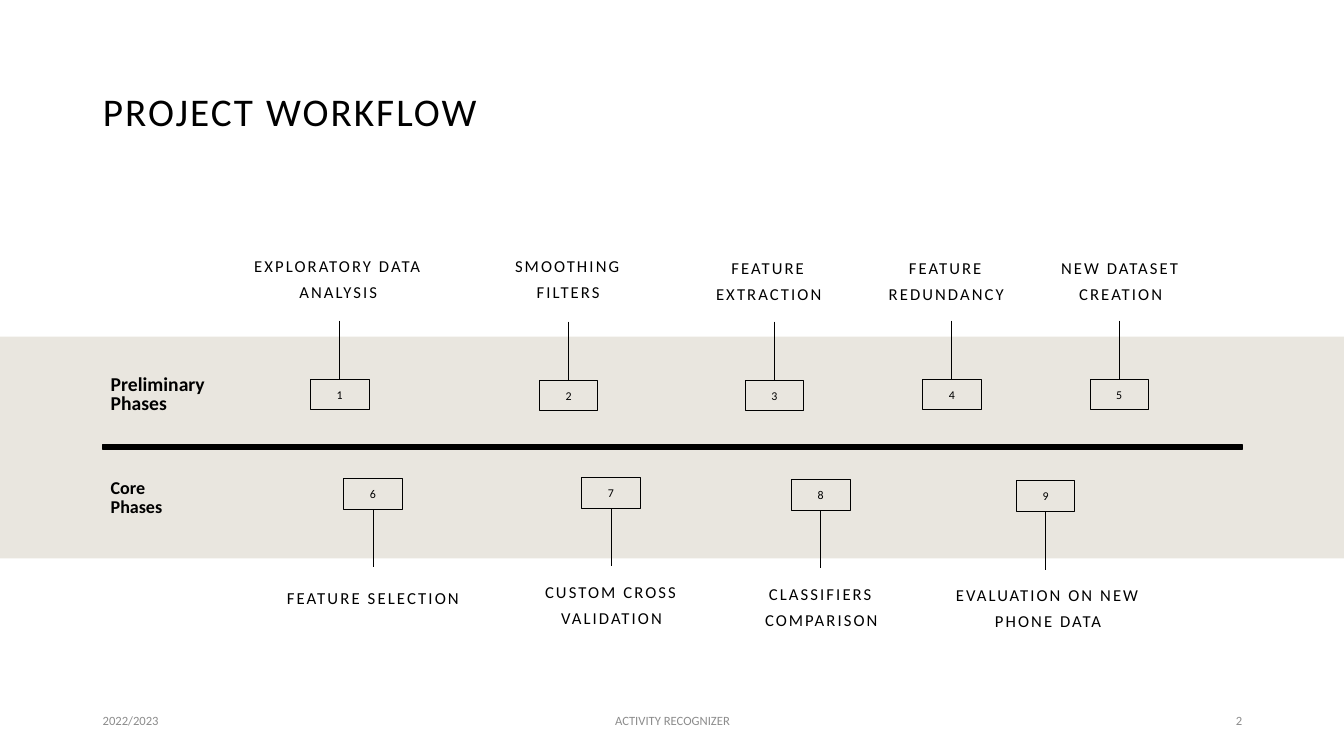
from lxml import etree
from pptx import Presentation
from pptx.dml.color import RGBColor
from pptx.enum.shapes import MSO_CONNECTOR, MSO_SHAPE
from pptx.enum.text import MSO_ANCHOR, MSO_AUTO_SIZE, PP_ALIGN
from pptx.oxml.ns import qn
from pptx.util import Pt

RECTANGLE = MSO_SHAPE.RECTANGLE
STRAIGHT = MSO_CONNECTOR.STRAIGHT
LEFT, CENTER, RIGHT = PP_ALIGN.LEFT, PP_ALIGN.CENTER, PP_ALIGN.RIGHT
TOP, MIDDLE, BOTTOM = MSO_ANCHOR.TOP, MSO_ANCHOR.MIDDLE, MSO_ANCHOR.BOTTOM
NO_AUTOFIT = MSO_AUTO_SIZE.NONE

EMU_PER_PX = 9144  # 100 px to the inch
SLIDE_WIDTH, SLIDE_HEIGHT = 1333, 750
TITLE_ONLY = 5
BOX_WIDTH, BOX_HEIGHT = 58, 30
NUMBER_WIDTH, NUMBER_HEIGHT = 70, 22
STEM_LENGTH = 58
LABEL_HEIGHT = 61

# Box left, box top, label, label left, label top, label width
PRELIMINARY_STEPS = [
    (308, 376, "EXPLORATORY DATA ANALYSIS", 223, 243, 225),
    (535, 377, "SMOOTHING FILTERS", 477, 243, 173),
    (739, 377, "FEATURE EXTRACTION", 671, 245, 183),
    (915, 376, "FEATURE REDUNDANCY", 840, 245, 197),
    (1081, 376, "NEW DATASET CREATION", 1013, 245, 197),
]
CORE_STEPS = [
    (341, 475, "FEATURE SELECTION", 233, 568, 274),
    (577, 474, "CUSTOM CROSS VALIDATION", 494, 566, 225),
    (785, 476, "CLASSIFIERS COMPARISON", 702, 568, 225),
    (1008, 477, "EVALUATION ON NEW PHONE DATA", 927, 569, 225),
]


def px(length):
    return int(length * EMU_PER_PX)


def color(value):
    return RGBColor.from_string(value)


class WorkflowSlide:
    font = "Calibri"
    ink = "000000"
    band_fill = "E9E6DF"
    muted = "8C8C8C"

    def __init__(self, slide):
        self.slide = slide

    def fill_text(self, shape, text, size, ink=None, align=LEFT, anchor=TOP,
                  line_spacing=1.0, space_before=0, tracking=0, bold=False):
        frame = shape.text_frame
        frame.word_wrap = True
        frame.auto_size = NO_AUTOFIT
        frame.vertical_anchor = anchor
        paragraph = frame.paragraphs[0]
        paragraph.alignment = align
        paragraph.line_spacing = line_spacing
        paragraph.space_before = Pt(space_before)
        run = paragraph.add_run()
        run.text = text
        run.font.name = self.font
        run.font.size = Pt(size)
        run.font.bold = bold
        run.font.color.rgb = color(ink or self.ink)
        if tracking:
            run.font._element.set("spc", str(int(tracking * 100)))

    def title(self, text, left, top, width, height):
        shape = self.slide.shapes.title
        shape.left, shape.top = px(left), px(top)
        shape.width, shape.height = px(width), px(height)
        self.fill_text(shape, text, 28, anchor=MIDDLE, line_spacing=0.9, tracking=1.5)

    def text(self, text, left, top, width, height, size, **style):
        shape = self.slide.shapes.add_textbox(px(left), px(top), px(width), px(height))
        self.fill_text(shape, text, size, **style)

    def rectangle(self, left, top, width, height, fill=None, line_width=0):
        shape = self.slide.shapes.add_shape(
            RECTANGLE, px(left), px(top), px(width), px(height))
        shape.shadow.inherit = False
        if fill:
            shape.fill.solid()
            shape.fill.fore_color.rgb = color(fill)
        else:
            shape.fill.background()
        if line_width:
            shape.line.color.rgb = color(self.ink)
            shape.line.width = Pt(line_width)
        else:
            shape.line.fill.background()

    def stem(self, x, top):
        connector = self.slide.shapes.add_connector(
            STRAIGHT, px(x), px(top), px(x), px(top + STEM_LENGTH))
        connector.line.color.rgb = color(self.ink)
        connector.line.width = Pt(0.5)
        etree.SubElement(connector._element.spPr, qn("a:effectLst"))

    def step(self, number, step, above):
        left, top, label, label_left, label_top, label_width = step
        center = left + BOX_WIDTH // 2
        self.rectangle(left, top, BOX_WIDTH, BOX_HEIGHT, line_width=0.5)
        self.text(str(number), center - NUMBER_WIDTH // 2, top + 7,
                  NUMBER_WIDTH, NUMBER_HEIGHT, 8.5, align=CENTER,
                  line_spacing=0.7, space_before=10)
        self.stem(center, top - STEM_LENGTH if above else top + BOX_HEIGHT)
        one_line = label == "FEATURE SELECTION"
        self.text(label, label_left, label_top, label_width, LABEL_HEIGHT,
                  12 if one_line else 11.9, align=CENTER,
                  anchor=BOTTOM if above else TOP,
                  line_spacing=1.5 if one_line else 1.3,
                  space_before=10, tracking=1.5)


def main():
    presentation = Presentation()
    presentation.slide_width = px(SLIDE_WIDTH)
    presentation.slide_height = px(SLIDE_HEIGHT)
    layout = presentation.slide_layouts[TITLE_ONLY]
    workflow = WorkflowSlide(presentation.slides.add_slide(layout))

    # Title, band and divider
    workflow.title("PROJECT WORKFLOW", 92, 40, 1150, 145)
    workflow.rectangle(0, 334, SLIDE_WIDTH, 220, fill=workflow.band_fill)
    workflow.rectangle(102, 441, 1130, 5, fill=workflow.ink, line_width=1)

    # Phase names
    workflow.text("Preliminary Phases", 100, 367, 133, 50, 14, anchor=MIDDLE,
                  line_spacing=0.8, space_before=10, bold=True)
    workflow.text("Core Phases", 100, 469, 80, 50, 12.9, anchor=MIDDLE,
                  line_spacing=0.9, space_before=10, bold=True)

    # Numbered steps above and below the divider
    for number, step in enumerate(PRELIMINARY_STEPS, 1):
        workflow.step(number, step, above=True)
    for number, step in enumerate(CORE_STEPS, len(PRELIMINARY_STEPS) + 1):
        workflow.step(number, step, above=False)

    # Footer
    for text, left, width, align in [("2022/2023", 92, 300, LEFT),
                                     ("ACTIVITY RECOGNIZER", 442, 450, CENTER),
                                     ("2", 942, 300, RIGHT)]:
        workflow.text(text, left, 695, width, 40, 9, ink=workflow.muted,
                      align=align, anchor=MIDDLE)

    presentation.save("out.pptx")


if __name__ == "__main__":
    main()
